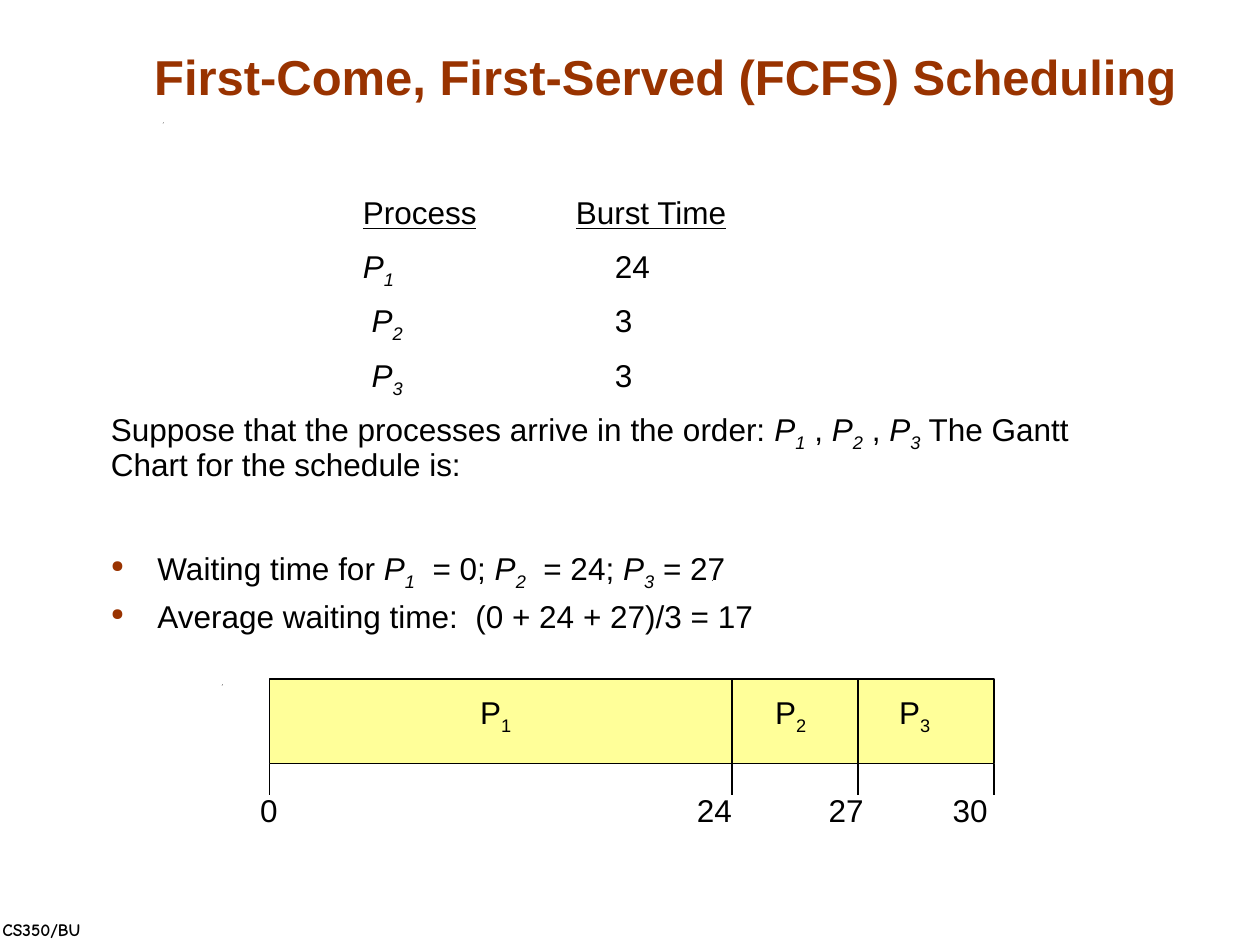
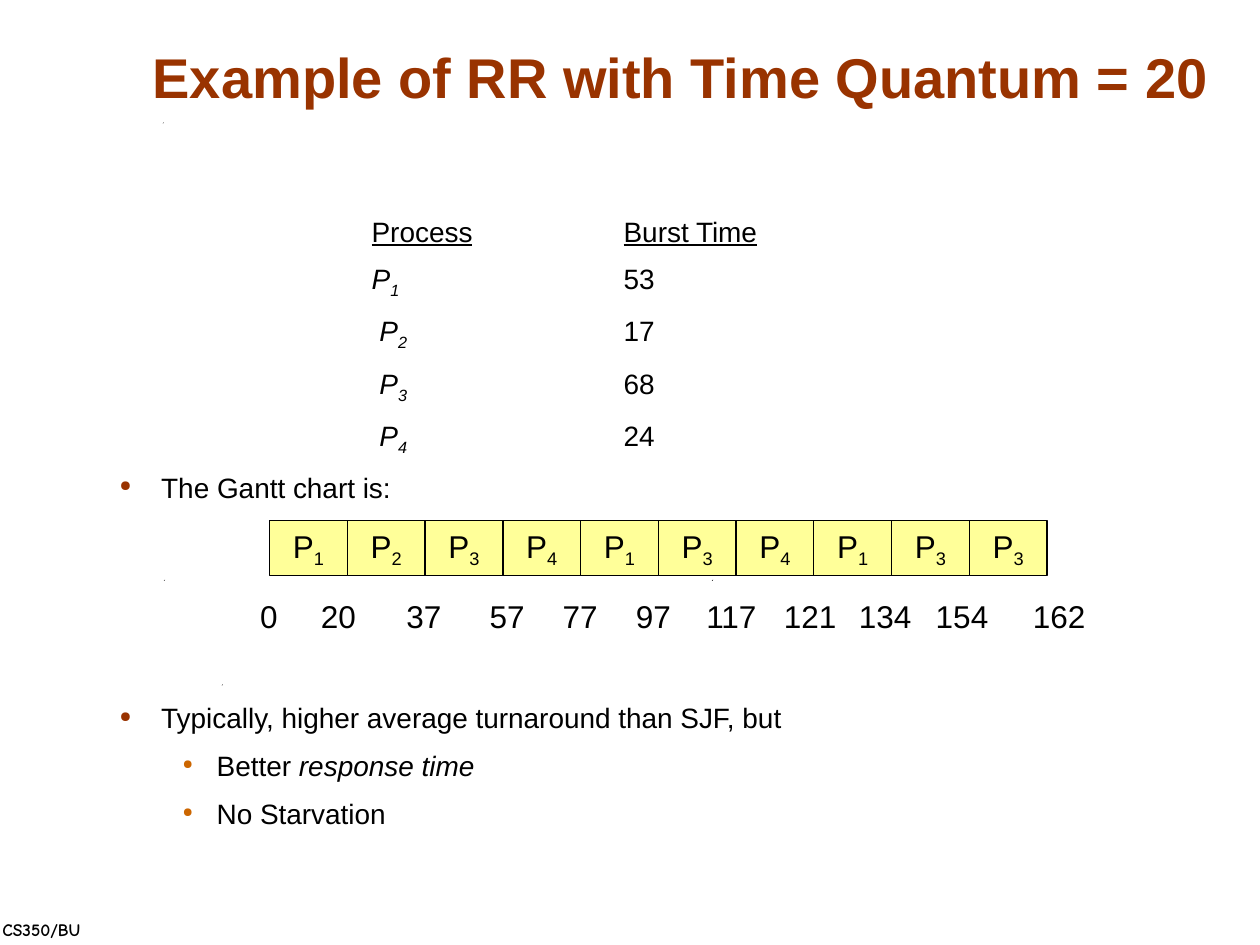
from dataclasses import dataclass
from typing import Any, NamedTuple

from lxml.etree import SubElement
from pptx import Presentation
from pptx.dml.color import RGBColor
from pptx.enum.shapes import MSO_CONNECTOR, MSO_SHAPE
from pptx.enum.text import MSO_ANCHOR, MSO_AUTO_SIZE, PP_ALIGN
from pptx.oxml.ns import qn
from pptx.util import Inches, Pt

# Shared look; the 10 x 7.5 inch slide is a grid of 100 columns by 75 rows
CELL = Inches(0.1)
COLUMNS, ROWS = 100, 75
RUST, ORANGE, YELLOW, BLACK = "993300", "CC6600", "FFFF99", "000000"
FONT, FOOTER_FONT = "Arial", "Comic Neue"
SPECKS = ((17.6, 54.3), (13, 46), (56.5, 46), (12.9, 9.7))
INSET = Inches(0.05)
FRAME = {
    "word_wrap": True, "auto_size": MSO_AUTO_SIZE.NONE,
    "margin_left": INSET, "margin_right": INSET,
    "margin_top": INSET, "margin_bottom": INSET,
}


class Place(NamedTuple):
    left: float
    top: float
    width: float
    height: float


class Span(NamedTuple):
    text: str
    italic: bool = False
    underline: bool = False
    lowered: bool = False


class Mark(NamedTuple):
    """A centred label: its middle column and its text."""
    middle: float
    text: str


@dataclass
class Bullet:
    color: str
    percent: int
    left: float
    hanging: float


@dataclass
class Line:
    spans: list[Span]
    before: float = 8
    spacing: float = 1.0
    bullet: Bullet | None = None
    tabs: tuple[float, ...] = ()


def cells(count: float) -> int:
    return round(count * CELL)


def area(place: Place) -> list[int]:
    return [cells(value) for value in place]


def color(code: str) -> RGBColor:
    return RGBColor.from_string(code)


def set_all(target: Any, values: dict[str, Any]) -> None:
    for name, value in values.items():
        setattr(target, name, value)


def process(number: int, italic: bool = True) -> list[Span]:
    return [Span("P", italic), Span(str(number), italic, lowered=True)]


def write(para: Any, spans: list[Span], size: float, ink: str = BLACK,
          bold: bool = False, font: str = FONT) -> None:
    for part in spans:
        span = para.add_run()
        span.text = part.text
        set_all(span.font, {"name": font, "size": Pt(size), "bold": bold,
                            "italic": part.italic, "underline": part.underline})
        span.font.color.rgb = color(ink)
        if part.lowered:
            span.font._element.set("baseline", "-25000")


def add_bullet(para: Any, bullet: Bullet) -> None:
    props = para._p.get_or_add_pPr()
    props.set("marL", str(cells(bullet.left)))
    props.set("indent", str(-cells(bullet.hanging)))
    SubElement(SubElement(props, qn("a:buClr")), qn("a:srgbClr"), val=bullet.color)
    SubElement(props, qn("a:buSzPct"), val=str(bullet.percent * 1000))
    SubElement(props, qn("a:buChar"), char="●")


def add_tabs(para: Any, stops: tuple[float, ...]) -> None:
    tab_list = SubElement(para._p.get_or_add_pPr(), qn("a:tabLst"))
    for stop in stops:
        SubElement(tab_list, qn("a:tab"), pos=str(cells(stop)), algn="l")


def add_text(shapes: Any, place: Place, spans: list[Span], size: float = 18,
             align: PP_ALIGN = PP_ALIGN.CENTER, **style: Any) -> None:
    box = shapes.add_textbox(*area(place))
    set_all(box.text_frame, FRAME | {"vertical_anchor": MSO_ANCHOR.MIDDLE})
    para = box.text_frame.paragraphs[0]
    para.alignment = align
    write(para, spans, size, **style)


def add_body(page: Any, place: Place, lines: list[Line], size: float) -> None:
    frame = page.shapes.add_textbox(*area(place)).text_frame
    set_all(frame, FRAME)
    for index, line in enumerate(lines):
        para = frame.add_paragraph() if index else frame.paragraphs[0]
        set_all(para, {"space_before": Pt(line.before), "line_spacing": line.spacing,
                       "alignment": PP_ALIGN.LEFT})
        if line.bullet:
            add_bullet(para, line.bullet)
        if line.tabs:
            add_tabs(para, line.tabs)
        write(para, line.spans, size)


def add_bar(shapes: Any, place: Place) -> Any:
    bar = shapes.add_shape(MSO_SHAPE.RECTANGLE, *area(place))
    bar.shadow.inherit = False
    bar.fill.solid()
    bar.fill.fore_color.rgb = color(YELLOW)
    bar.line.color.rgb = color(BLACK)
    bar.line.width = Pt(0.75)
    return bar


def add_rule(shapes: Any, column: float, top: float, bottom: float) -> None:
    rule = shapes.add_connector(MSO_CONNECTOR.STRAIGHT, cells(column), cells(top),
                                cells(column), cells(bottom))
    rule.line.color.rgb = color(BLACK)
    rule.line.width = Pt(0.75)
    SubElement(rule._element.spPr, qn("a:effectLst"))


def add_times(shapes: Any, marks: list[Mark], top: float) -> None:
    width = 8
    for mark in marks:
        add_text(shapes, Place(mark.middle - width / 2, top, width, 3.9),
                 [Span(mark.text)])


def add_page(deck: Any, title: str, place: Place, size: float) -> Any:
    """A title-only page with the shared specks, footer and title style."""
    page = deck.slides.add_slide(deck.slide_layouts[5])
    for left, top in SPECKS:
        builder = page.shapes.build_freeform(cells(left), cells(top + 0.1))
        builder.add_line_segments([(cells(left + 0.1), cells(top)),
                                   (cells(left + 0.05), cells(top + 0.1))])
        speck = builder.convert_to_shape()
        speck.shadow.inherit = False
        speck.fill.solid()
        speck.fill.fore_color.rgb = color(BLACK)
        speck.line.fill.background()
    add_text(page.shapes, Place(-0.3, 72.3, 9.6, 3), [Span("CS350/BU")], 10,
             PP_ALIGN.LEFT, bold=True, font=FOOTER_FONT)
    heading = page.shapes.title
    set_all(heading, dict(zip(("left", "top", "width", "height"), area(place))))
    set_all(heading.text_frame, FRAME | {"vertical_anchor": MSO_ANCHOR.BOTTOM})
    para = heading.text_frame.paragraphs[0]
    para.alignment = PP_ALIGN.CENTER
    write(para, [Span(title)], size, ink=RUST, bold=True)
    return page


def burst_lines(bursts: list[int], before: float, spacing: float,
                header_stop: float) -> list[Line]:
    """The header and one tabbed line for each process."""
    header = [Span("\t"), Span("Process", underline=True),
              Span("\t"), Span("Burst Time", underline=True)]
    lines = [Line(header, before, spacing, tabs=(20, header_stop))]
    for number, burst in enumerate(bursts, 1):
        lead = "\t" if number == 1 else "\t "
        spans = [Span(lead), *process(number), Span(f"\t{burst}")]
        lines.append(Line(spans, before, spacing, tabs=(20, 40)))
    return lines


def build_fcfs(deck: Any) -> None:
    page = add_page(deck, "First-Come, First-Served (FCFS) Scheduling",
                    Place(7.2, 3.2, 91.2, 5.7), 28)
    dot = Bullet(RUST, 53, 3.7, 3.7)
    order = [Span("Suppose that the processes arrive in the order: "),
             *process(1), Span(" , "), *process(2), Span(" , "), *process(3),
             Span(" The Gantt Chart for the schedule is:")]
    waiting = [Span("Waiting time for "), *process(1), Span("  = 0; "),
               *process(2), Span("  = 24; "), *process(3), Span(" = 27")]
    average = [Span("Average waiting time:  (0 + 24 + 27)/3 = 17")]
    add_body(page, Place(8.3, 15.2, 82.7, 46.2), [
        *burst_lines([24, 3, 3], 9, 0.9, 36.9),
        Line(order, 9, 0.9),
        Line(waiting, 38, 0.9, dot),
        Line(average, 7, 0.9, dot),
    ], 18)

    # Gantt chart: one bar, dividers, ticks and labels
    chart = page.shapes.add_group_shape().shapes
    top, bottom, tick_end = 53.9, 60.6, 63.1
    edges = (21.4, 58.1, 68.1, 78.9)
    add_bar(chart, Place(edges[0], top, edges[-1] - edges[0], bottom - top))
    for number, middle in enumerate((39.35, 62.75, 72.6), 1):
        add_text(chart, Place(middle - 3.5, 54.6, 7, 4.3), process(number, False))
    for edge in edges:
        add_rule(chart, edge, bottom, tick_end)
    for edge in edges[1:-1]:
        add_rule(chart, edge, top, bottom)
    add_times(chart, [Mark(21.35, "0"), Mark(56.7, "24"), Mark(67.15, "27"),
                      Mark(77, "30")], 62.3)


def build_round_robin(deck: Any) -> None:
    page = add_page(deck, "Example of RR with Time Quantum = 20",
                    Place(10, 0, 88.1, 9.2), 32)
    dot = Bullet(RUST, 53, 3.3, 3.3)
    small_dot = Bullet(ORANGE, 47, 7.7, 2.7)
    add_body(page, Place(9, 16.5, 80.4, 50.2), [
        *burst_lines([53, 17, 68, 24], 8, 1.0, 40),
        Line([Span("The Gantt chart is:")], bullet=dot),
        Line([Span("Typically, higher average turnaround than SJF, but")], 112.5,
             bullet=dot),
        Line([Span("Better "), Span("response time", italic=True)], bullet=small_dot),
        Line([Span("No Starvation")], bullet=small_dot),
    ], 16)

    # Gantt chart: ten equal quanta and their times
    chart = page.shapes.add_group_shape().shapes
    step = 6.17
    for index, number in enumerate((1, 2, 3, 4, 1, 3, 4, 1, 3, 3)):
        bar = add_bar(chart, Place(21.4 + index * step, 41.3, step, 4.4))
        set_all(bar.text_frame, FRAME | {"vertical_anchor": MSO_ANCHOR.MIDDLE})
        para = bar.text_frame.paragraphs[0]
        para.alignment = PP_ALIGN.CENTER
        write(para, process(number, False), 18)
    add_times(chart, [
        Mark(21.35, "0"), Mark(26.85, "20"), Mark(33.65, "37"), Mark(40.25, "57"),
        Mark(46.05, "77"), Mark(51.85, "97"), Mark(58.05, "117"), Mark(64.3, "121"),
        Mark(70.25, "134"), Mark(76.35, "154"), Mark(84.05, "162"),
    ], 46.9)


deck = Presentation()
deck.slide_width, deck.slide_height = cells(COLUMNS), cells(ROWS)
build_fcfs(deck)
build_round_robin(deck)
deck.save("out.pptx")
